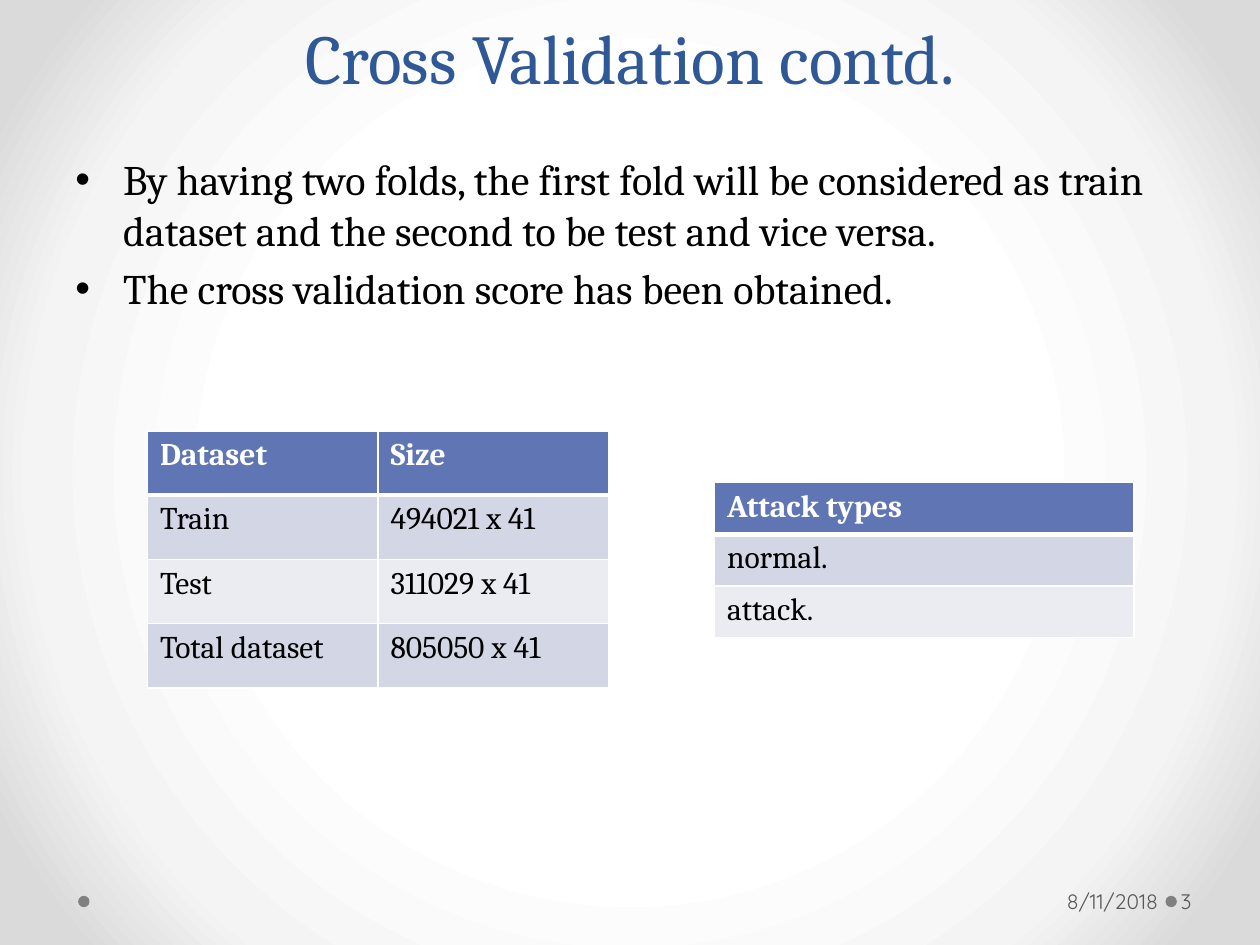
from dataclasses import dataclass

from lxml import etree
from pptx import Presentation
from pptx.dml.color import RGBColor
from pptx.enum import shapes, text
from pptx.oxml import ns
from pptx.util import Inches, Pt

COLOURS = {
    "title": "2F5897",
    "body": "000000",
    "footer": "595959",
    "dot": "808080",
    "header": "6076B4",
    "odd": "D2D6E5",
    "even": "EAECF2",
    "white": "FFFFFF",
}
BACKDROP = {50: "FFFFFF", 76: "F4F4F4", 92: "DADADA"}
SERIF, SANS = "Cambria", "Quicksand"


@dataclass
class Style:
    size: float
    colour: str
    font: str = SERIF
    bold: bool = False


@dataclass
class Label:
    area: tuple[float, float, float, float]
    lines: list[str]
    style: Style
    align: text.PP_ALIGN = text.PP_ALIGN.LEFT
    anchor: text.MSO_ANCHOR = text.MSO_ANCHOR.TOP
    insets: tuple[float, float, float, float] = (0.1, 0.05, 0.1, 0.05)
    spacing: float | None = None
    bulleted: bool = False


@dataclass
class Grid:
    left: float
    top: float
    column_width: float
    row_height: float
    rows: list[list[str]]


LABELS = [
    Label((0.5, 0.08, 9, 0.75), ["Cross Validation contd."], Style(40, "title"),
          text.PP_ALIGN.CENTER, text.MSO_ANCHOR.BOTTOM, spacing=58),
    Label((0.5, 1.17, 9, 4.95),
          ["By having two folds, the first fold will be considered as train "
           "dataset and the second to be test and vice versa.",
           "The cross validation score has been obtained."],
          Style(24, "body"), bulleted=True),
    Label((6.96, 6.95, 2.28, 0.4), ["8/11/2018"], Style(12, "footer", SANS),
          text.PP_ALIGN.RIGHT, text.MSO_ANCHOR.MIDDLE, (0.1, 0.05, 0.05, 0.05)),
    Label((9.34, 6.95, 0.61, 0.4), ["3"], Style(12, "footer", SANS),
          anchor=text.MSO_ANCHOR.MIDDLE, insets=(0.03, 0.05, 0.05, 0.05)),
]
GRIDS = [
    Grid(1.17, 3.42, 1.83, 0.51,
         [["Dataset", "Size"], ["Train", "494021 x 41"],
          ["Test", "311029 x 41"], ["Total dataset", "805050 x 41"]]),
    Grid(5.67, 3.83, 3.33, 0.41, [["Attack types"], ["normal."], ["attack."]]),
]


def rgb(name: str) -> RGBColor:
    return RGBColor.from_string(COLOURS[name])


def add_child(parent, tag: str, **attributes):
    return etree.SubElement(parent, ns.qn(tag), attributes)


def add_span(para, words: str, style: Style) -> None:
    span = para.add_run()
    span.text = words
    span.font.size = Pt(style.size)
    span.font.name = style.font
    span.font.bold = style.bold
    span.font.color.rgb = rgb(style.colour)


def paint_background(page) -> None:
    fill = page.background.fill
    fill.gradient()
    gradient = page.background._cSld.find(".//" + ns.qn("a:gradFill"))
    for child in list(gradient):
        gradient.remove(child)
    stops = add_child(gradient, "a:gsLst")
    for percent, colour in BACKDROP.items():
        stop = add_child(stops, "a:gs", pos=str(percent * 1000))
        add_child(stop, "a:srgbClr", val=colour)
    circle = add_child(gradient, "a:path", path="circle")
    add_child(circle, "a:fillToRect", l="50000", t="50000", r="50000", b="50000")


def add_dot(page, left: float) -> None:
    dot = page.shapes.add_shape(shapes.MSO_SHAPE.OVAL, Inches(left), Inches(7.11),
                                Inches(0.09), Inches(0.09))
    dot.shadow.inherit = False
    dot.fill.solid()
    dot.fill.fore_color.rgb = rgb("dot")
    dot.line.fill.background()


def add_bullet(para, size: float) -> None:
    para.space_before = Pt(size * 0.2)
    properties = para._p.get_or_add_pPr()
    properties.set("marL", str(Inches(0.38)))
    properties.set("indent", str(-Inches(0.38)))
    add_child(properties, "a:buFont", typeface="Arial")
    add_child(properties, "a:buChar", char="•")


def add_label(page, label: Label) -> None:
    box = page.shapes.add_textbox(*map(Inches, label.area))
    frame = box.text_frame
    frame.word_wrap = True
    frame.vertical_anchor = label.anchor
    (frame.margin_left, frame.margin_top,
     frame.margin_right, frame.margin_bottom) = map(Inches, label.insets)
    for index, line in enumerate(label.lines):
        para = frame.add_paragraph() if index else frame.paragraphs[0]
        para.alignment = label.align
        if label.spacing:
            para.line_spacing = Pt(label.spacing)
        if label.bulleted:
            add_bullet(para, label.style.size)
        add_span(para, line, label.style)


def add_borders(cell, row: int) -> None:
    properties = cell._tc.get_or_add_tcPr()
    widths = {"L": 1, "R": 1, "T": 3 if row == 1 else 1, "B": 3 if row == 0 else 1}
    for side, width in widths.items():
        border = add_child(properties, f"a:ln{side}", w=str(Pt(width)))
        add_child(add_child(border, "a:solidFill"), "a:srgbClr", val=COLOURS["white"])


def add_grid(page, grid: Grid) -> None:
    row_count, column_count = len(grid.rows), len(grid.rows[0])
    table = page.shapes.add_table(
        row_count, column_count, Inches(grid.left), Inches(grid.top),
        Inches(grid.column_width * column_count),
        Inches(grid.row_height * row_count)).table
    for column in table.columns:
        column.width = Inches(grid.column_width)
    for row, entries in enumerate(grid.rows):
        table.rows[row].height = Inches(grid.row_height)
        shade = "header" if row == 0 else "odd" if row % 2 else "even"
        style = Style(18, "body" if row else "white", bold=row == 0)
        for column, entry in enumerate(entries):
            cell = table.cell(row, column)
            add_borders(cell, row)
            cell.fill.solid()
            cell.fill.fore_color.rgb = rgb(shade)
            add_span(cell.text_frame.paragraphs[0], entry, style)


def main() -> None:
    deck = Presentation()
    deck.slide_width, deck.slide_height = Inches(10), Inches(7.5)
    page = deck.slides.add_slide(deck.slide_layouts[6])
    paint_background(page)
    for left in (9.25, 0.62):
        add_dot(page, left)
    for label in LABELS:
        add_label(page, label)
    for grid in GRIDS:
        add_grid(page, grid)
    deck.save("out.pptx")


if __name__ == "__main__":
    main()
